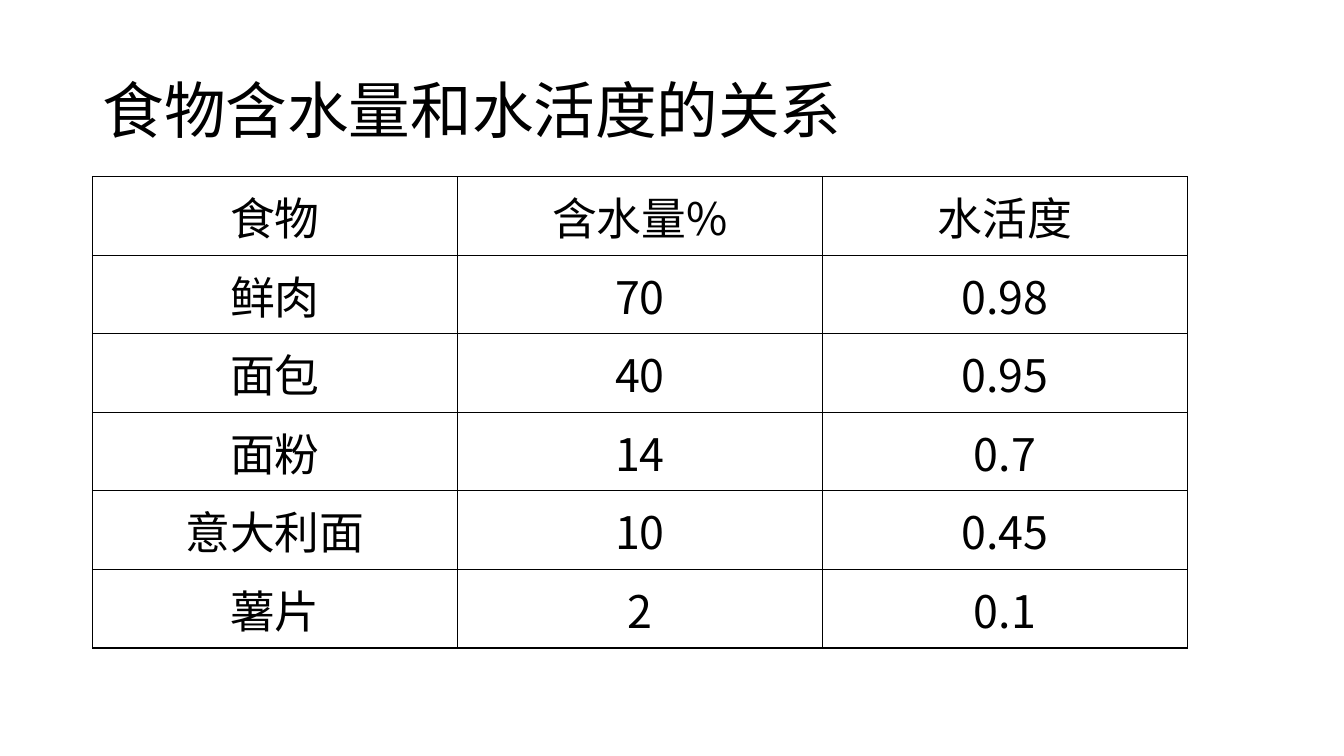
"""Build a slide with a table of water content and water activity of foods."""
import pptx
import pptx.dml.color
import pptx.enum.text
import pptx.oxml
import pptx.oxml.ns
import pptx.util
from pptx.util import Cm

BLACK = pptx.dml.color.RGBColor(0x00, 0x00, 0x00)
FONT = "Noto Sans CJK SC"
ALIGN = pptx.enum.text.PP_ALIGN
MIDDLE = pptx.enum.text.MSO_ANCHOR.MIDDLE

LEFT = Cm(2.33)
COL_WIDTH = Cm(9.2)
ROW_HEIGHT = Cm(1.98)
FOODS = [
    ("食物", "含水量%", "水活度"),
    ("鲜肉", "70", "0.98"),
    ("面包", "40", "0.95"),
    ("面粉", "14", "0.7"),
    ("意大利面", "10", "0.45"),
    ("薯片", "2", "0.1"),
]


def write_text(tf, text, size, align, line_spacing=None):
    p = tf.paragraphs[0]
    p.alignment = align
    p.line_spacing = line_spacing
    r = p.add_run()
    r.text = text
    r.font.size = pptx.util.Pt(size)
    r.font.color.rgb = BLACK
    r.font.name = FONT
    ea = pptx.oxml.parse_xml(
        f'<a:ea {pptx.oxml.ns.nsdecls("a")} typeface="{FONT}"/>')
    r.font._element.append(ea)


def add_borders(cell, color, width):
    tcPr = cell._tc.get_or_add_tcPr()
    for side in ("lnL", "lnR", "lnT", "lnB"):
        tcPr.append(pptx.oxml.parse_xml(
            f'<a:{side} {pptx.oxml.ns.nsdecls("a")} w="{pptx.util.Pt(width)}">'
            f'<a:solidFill><a:srgbClr val="{color}"/></a:solidFill></a:{side}>'))


def format_title(s, text):
    sp = s.shapes.title
    sp.left, sp.top, sp.width, sp.height = LEFT, Cm(1.01), Cm(29.21), Cm(3.68)
    sp.text_frame.vertical_anchor = MIDDLE
    sp.text_frame.word_wrap = True
    write_text(sp.text_frame, text, size=44, align=ALIGN.LEFT, line_spacing=0.9)


def add_food_table(s, rows):
    n_rows, n_cols = len(rows), len(rows[0])
    table = s.shapes.add_table(n_rows, n_cols, LEFT, Cm(4.45),
                               COL_WIDTH * n_cols, ROW_HEIGHT * n_rows).table
    table.first_row = table.horz_banding = False
    for i, row in enumerate(rows):
        for j, text in enumerate(row):
            cell = table.cell(i, j)
            cell.vertical_anchor = MIDDLE
            cell.margin_left = cell.margin_right = Cm(0.19)
            cell.margin_top = cell.margin_bottom = 0
            add_borders(cell, BLACK, width=1)
            cell.fill.background()
            write_text(cell.text_frame, text, size=32, align=ALIGN.CENTER)


def main():
    prs = pptx.Presentation()
    prs.slide_width, prs.slide_height = Cm(33.87), Cm(19.05)
    s = prs.slides.add_slide(prs.slide_layouts.get_by_name("Title Only"))
    format_title(s, "食物含水量和水活度的关系")
    add_food_table(s, FOODS)
    prs.save("out.pptx")


if __name__ == "__main__":
    main()
